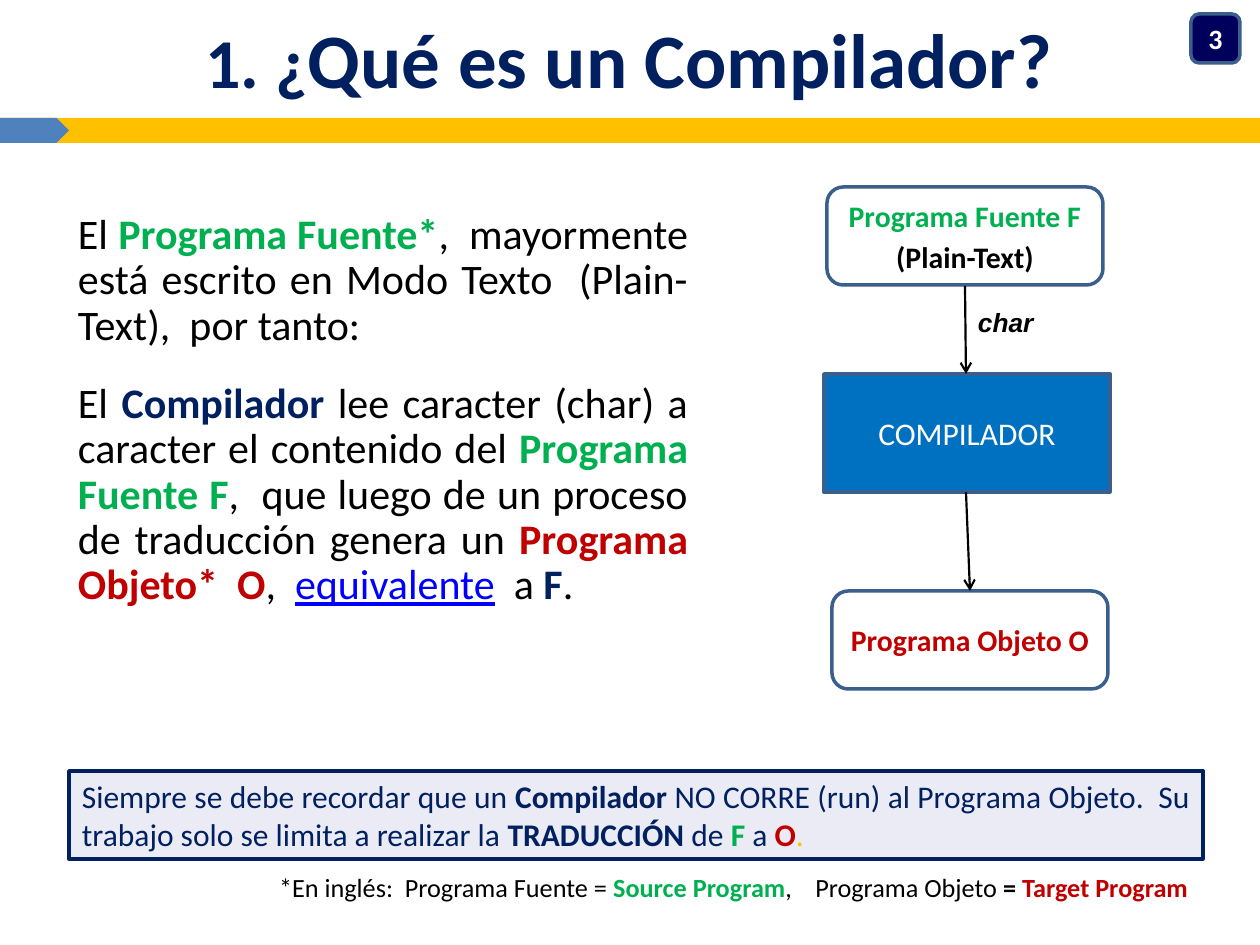
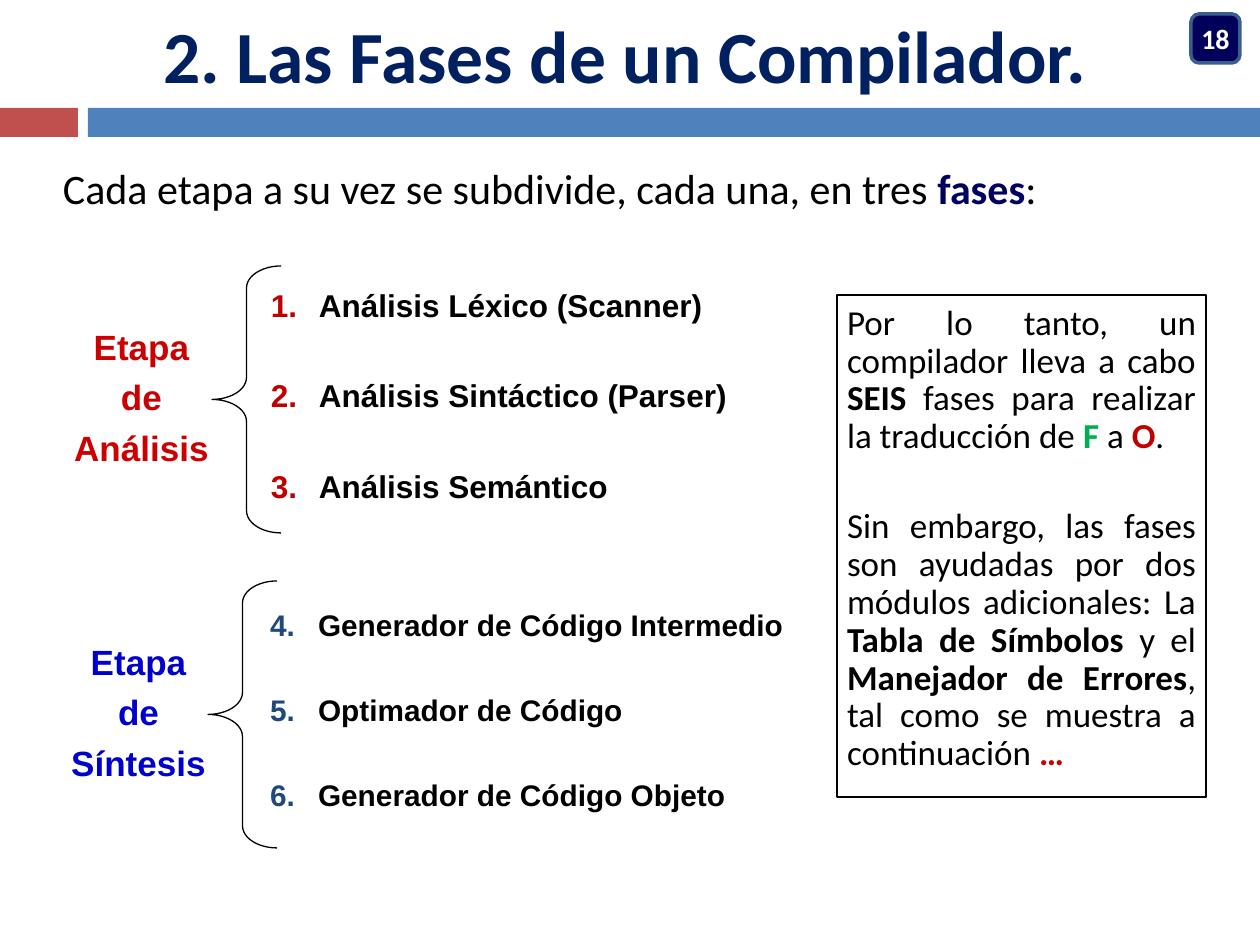
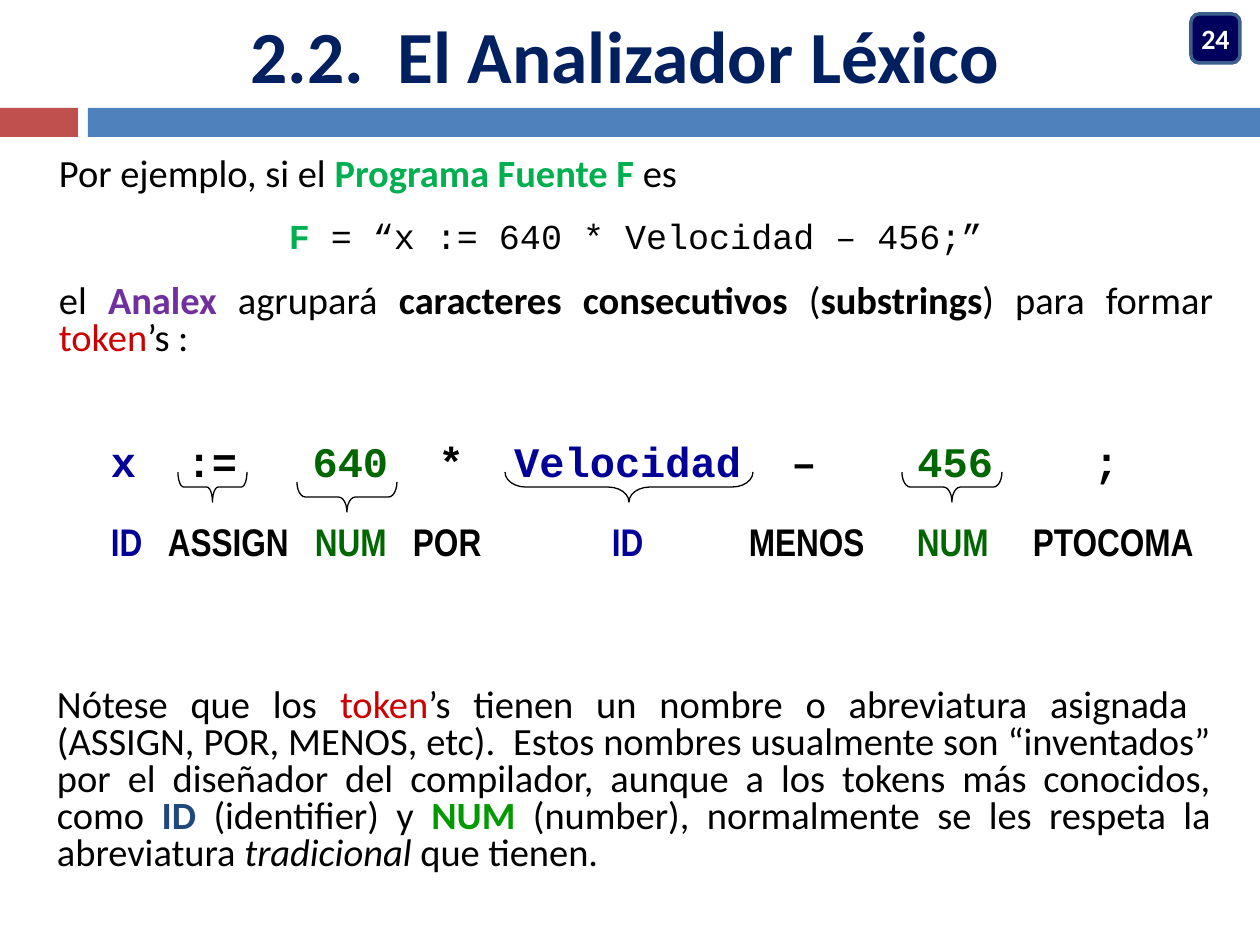
from dataclasses import dataclass

import pptx
import pptx.dml.color
import pptx.enum.shapes
import pptx.enum.text
import pptx.oxml
import pptx.oxml.ns
import pptx.util

SHAPE = pptx.enum.shapes.MSO_SHAPE
ALIGN = pptx.enum.text.PP_ALIGN
ANCHOR = pptx.enum.text.MSO_ANCHOR
EMU_PER_PX = 914400 / 126
INSETS = (13, 6, 13, 6)
NO_INSETS = (0, 0, 0, 0)


@dataclass(frozen=True)
class Theme:
    font: str = "Calibri"
    label_font: str = "Arial"
    narrow_font: str = "Arial Narrow"
    code_font: str = "Courier New"
    black: str = "000000"
    white: str = "FFFFFF"
    navy: str = "002060"
    badge: str = "00005C"
    phase_navy: str = "000060"
    border: str = "3A5F8C"
    blue: str = "4F81BD"
    dark_blue: str = "1F497D"
    compiler_blue: str = "0070C0"
    link: str = "0000FF"
    synthesis: str = "0000CC"
    identifier: str = "000099"
    amber: str = "FFC000"
    brick: str = "C0504D"
    source: str = "00B050"
    target: str = "C00000"
    red: str = "CC0000"
    number: str = "006600"
    bright_number: str = "009900"
    violet: str = "7030A0"
    note_fill: str = "EBEBF5"
    title: int = 42
    big_title: int = 44
    lead: int = 24
    body: int = 22
    aside: int = 20
    medium: int = 18
    small: int = 17
    page: int = 16
    footnote: int = 15


THEME = Theme()


def px(length):
    return pptx.util.Emu(round(length * EMU_PER_PX))


def rgb(value):
    return pptx.dml.color.RGBColor.from_string(value)


def xml(tag, **attributes):
    element = pptx.oxml.parse_xml(
        f'<a:{tag} {pptx.oxml.ns.nsdecls("a")}/>')
    for key, value in attributes.items():
        element.set(key, str(value))
    return element


def add_runs(paragraph, runs, size, font=THEME.font, color=THEME.black, style=""):
    """Each run is plain text or (text, colour, style letters b, i, u)."""
    for part in runs:
        text, run_color, run_style = (
            (part, color, style) if isinstance(part, str) else part)
        run = paragraph.add_run()
        run.text = text
        run.font.name = font
        run.font.size = pptx.util.Pt(size)
        run.font.color.rgb = rgb(run_color)
        run.font.bold = "b" in run_style
        run.font.italic = "i" in run_style
        run.font.underline = "u" in run_style


def set_frame(frame, insets=INSETS, anchor=ANCHOR.TOP, wrap=True):
    frame.word_wrap = wrap
    frame.auto_size = pptx.enum.text.MSO_AUTO_SIZE.NONE
    frame.vertical_anchor = anchor
    (frame.margin_left, frame.margin_top,
     frame.margin_right, frame.margin_bottom) = map(px, insets)


def fill_paragraphs(frame, paragraphs, size, align=ALIGN.LEFT, gap=0,
                    spacing=1.0, **look):
    """Write one paragraph per list of runs, gap points apart."""
    written = []
    for index, runs in enumerate(paragraphs):
        paragraph = frame.add_paragraph() if index else frame.paragraphs[0]
        paragraph.alignment = align
        paragraph.line_spacing = spacing
        paragraph.space_before = pptx.util.Pt(gap if index else 0)
        add_runs(paragraph, runs, size, **look)
        written.append(paragraph)
    return written


def add_text(slide, box, paragraphs, size, insets=INSETS, wrap=True, **look):
    frame = slide.shapes.add_textbox(*map(px, box)).text_frame
    set_frame(frame, insets, wrap=wrap)
    return fill_paragraphs(frame, paragraphs, size, **look)


def add_box(slide, kind, box, fill=None, line=None, weight=2):
    shape = slide.shapes.add_shape(kind, *map(px, box))
    shape.shadow.inherit = False
    if fill:
        shape.fill.solid()
        shape.fill.fore_color.rgb = rgb(fill)
    else:
        shape.fill.background()
    if line:
        shape.line.color.rgb = rgb(line)
        shape.line.width = pptx.util.Pt(weight)
    else:
        shape.line.fill.background()
    return shape


def add_node(slide, kind, box, paragraphs, size, fill=None, **look):
    node = add_box(slide, kind, box, fill, THEME.border)
    set_frame(node.text_frame, (0, 6, 0, 6), ANCHOR.MIDDLE)
    fill_paragraphs(node.text_frame, paragraphs, size, ALIGN.CENTER, gap=3, **look)


def add_arrow(slide, start, end):
    arrow = slide.shapes.add_connector(
        pptx.enum.shapes.MSO_CONNECTOR.STRAIGHT, *map(px, start + end))
    arrow.line.color.rgb = rgb(THEME.black)
    arrow.line.width = pptx.util.Pt(1.25)
    properties = arrow.element.spPr
    properties.find(pptx.oxml.ns.qn("a:ln")).append(xml("tailEnd", type="arrow"))
    properties.append(xml("effectLst"))


def add_brace(slide, box, curve):
    brace = add_box(slide, SHAPE.LEFT_BRACE, box, line=THEME.black, weight=0.75)
    brace.adjustments[0] = curve
    return brace


def add_brace_under(slide, left, top, width, depth=30):
    """Brace that opens upwards; its curve grows with its width."""
    box = (left + (width - depth) / 2, top + (depth - width) / 2, depth, width)
    add_brace(slide, box, round(width * 0.0028, 2)).rotation = 270


def add_numbered(slide, box, items, size, gap, color, start):
    paragraphs = add_text(slide, box, [[item] for item in items], size,
                          gap=gap, font=THEME.label_font, style="b")
    for paragraph in paragraphs:
        properties = paragraph._p.get_or_add_pPr()
        properties.set("marL", str(px(48)))
        properties.set("indent", str(-px(48)))
        bullet_color = xml("buClr")
        bullet_color.append(xml("srgbClr", val=color))
        properties.append(bullet_color)
        properties.append(xml("buAutoNum", type="arabicPeriod", startAt=start))


def add_columns(slide, box, cells, stops, size, font):
    """One line of (text, colour) cells, each after the first at a tab stop."""
    runs = [(("\t" if i else "") + text, color, "b")
            for i, (text, color) in enumerate(cells)]
    frame = slide.shapes.add_textbox(*map(px, box)).text_frame
    set_frame(frame)
    tabs = xml("tabLst")
    for stop in stops:
        tabs.append(xml("tab", pos=px(stop), algn="l"))
    frame.paragraphs[0]._p.get_or_add_pPr().append(tabs)
    fill_paragraphs(frame, [runs], size, font=font)


def start_slide(deck, title, page, title_box=(0, 0, 1250, 108), size=THEME.title):
    """New slide with its title and page badge; title is a list of (text, size)."""
    slide = deck.slides.add_slide(deck.slide_layouts[5])
    heading = slide.shapes.title
    heading.left, heading.top, heading.width, heading.height = map(px, title_box)
    set_frame(heading.text_frame, NO_INSETS, ANCHOR.MIDDLE)
    paragraph = heading.text_frame.paragraphs[0]
    paragraph.alignment = ALIGN.CENTER
    for text, text_size in title:
        add_runs(paragraph, [text], text_size, color=THEME.navy, style="b")
    add_node(slide, SHAPE.ROUNDED_RECTANGLE, (1191, 14, 49, 49), [[str(page)]],
             THEME.page, THEME.badge, color=THEME.white, style="b")
    return slide


def add_split_band(slide):
    add_box(slide, SHAPE.RECTANGLE, (0, 108, 78, 29), THEME.brick)
    add_box(slide, SHAPE.RECTANGLE, (88, 108, 1172, 29), THEME.blue)


def build_definition(deck):
    t = THEME
    slide = start_slide(deck, [("1. ¿", 40), ("Qué es un Compilador?", t.big_title)],
                        3, (29, 11, 1201, 94))
    add_box(slide, SHAPE.RECTANGLE, (0, 118, 1260, 25), t.amber)
    add_box(slide, SHAPE.PENTAGON, (0, 118, 69, 25), t.blue)
    add_text(slide, (78, 207, 610, 462), [
        ["El ", ("Programa Fuente*", t.source, "b"),
         ",  mayormente está escrito en Modo Texto  (Plain-Text),  por tanto:"],
        ["El ", ("Compilador", t.navy, "b"),
         " lee caracter (char) a caracter el contenido del ",
         ("Programa Fuente F", t.source, "b"),
         ",  que luego de un proceso de traducción genera un ",
         ("Programa Objeto*  O", t.target, "b"), ",  ",
         ("equivalente", t.link, "u"), "  a ", ("F", t.navy, "b"), "."],
    ], t.lead, (0, 6, 0, 6), align=ALIGN.JUSTIFY, gap=19, spacing=0.9)

    add_node(slide, SHAPE.ROUNDED_RECTANGLE, (827, 187, 276, 98),
             [[("Programa Fuente F", t.source, "b")], ["(Plain-Text)"]],
             t.small, style="b")
    add_node(slide, SHAPE.RECTANGLE, (824, 374, 286, 118), [["COMPILADOR"]],
             t.medium, t.compiler_blue, color=t.white)
    add_node(slide, SHAPE.ROUNDED_RECTANGLE, (832, 591, 276, 98),
             [["Programa Objeto O"]], t.small, color=t.target, style="b")
    add_arrow(slide, (965, 286), (966, 374))
    add_arrow(slide, (966, 492), (970, 591))
    add_text(slide, (965, 300, 82, 44), [["char"]], t.footnote, wrap=False,
             font=t.label_font, style="bi")

    reminder = add_box(slide, SHAPE.RECTANGLE, (69, 771, 1134, 88),
                       t.note_fill, t.navy)
    set_frame(reminder.text_frame)
    fill_paragraphs(reminder.text_frame, [[
        "Siempre se debe recordar que un ", ("Compilador", t.navy, "b"),
        " NO CORRE (run) al Programa Objeto.  Su trabajo solo se limita a realizar la ",
        ("TRADUCCIÓN", t.navy, "b"), " de ", ("F", t.source, "b"), " a ",
        ("O", t.target, "b"), (".", t.amber, "")]],
        t.medium, ALIGN.JUSTIFY, color=t.navy)
    translations = [
        ((69, 869, 736, 42), ["*En inglés:  Programa Fuente = ",
                              ("Source Program", t.source, "b"), ","]),
        ((800, 869, 401, 42), ["Programa Objeto", (" = ", t.black, "b"),
                               ("Target Program", t.target, "b")]),
    ]
    for box, runs in translations:
        add_text(slide, box, [runs], t.footnote, align=ALIGN.RIGHT, spacing=0.9)


def build_phases(deck):
    t = THEME
    slide = start_slide(deck, [("2. Las Fases de un Compilador.", t.title)], 18)
    add_split_band(slide)
    add_text(slide, (63, 168, 1134, 79), [[
        "Cada etapa a su vez se subdivide, cada una, en tres ",
        ("fases", t.phase_navy, "b"), ":"]], t.lead, NO_INSETS, spacing=0.9)

    stages = [
        ("Análisis", t.red, (52, 319), (212, 266),
         (258, 280, 517, 233), t.medium, 30, t.target, 1,
         ["Análisis Léxico (Scanner)", "Análisis Sintáctico (Parser)",
          "Análisis Semántico"]),
        ("Síntesis", t.synthesis, (49, 634), (208, 581),
         (257, 601, 586, 222), t.small, 28, t.dark_blue, 4,
         ["Generador de Código Intermedio", "Optimador de Código",
          "Generador de Código Objeto"]),
    ]
    for (stage, color, label_at, brace_at, list_box, size, gap,
         number_color, first, phases) in stages:
        add_brace(slide, brace_at + (69, 267), 0.32)
        add_text(slide, label_at + (179, 155), [["Etapa"], ["de"], [stage]],
                 t.aside, align=ALIGN.CENTER, gap=5, font=t.label_font,
                 color=color, style="b")
        add_numbered(slide, list_box, phases, size, gap, number_color, first)

    conclusion = add_box(slide, SHAPE.RECTANGLE, (837, 295, 369, 502),
                         line=t.black, weight=0.75)
    set_frame(conclusion.text_frame, (10, 10, 10, 10))
    fill_paragraphs(conclusion.text_frame, [
        ["Por lo tanto, un compilador lleva a cabo ", ("SEIS", t.black, "b"),
         " fases para realizar la traducción de ", ("F", t.source, "b"), " a ",
         ("O", t.target, "b"), "."],
        ["Sin embargo, las fases son ayudadas por dos módulos adicionales: La",
         (" Tabla de Símbolos", t.black, "b"), " y el ",
         ("Manejador de Errores", t.black, "b"),
         ", tal como se muestra a continuación ", ("…", t.red, "b")],
    ], t.aside, ALIGN.JUSTIFY, gap=30, spacing=0.9)


def build_lexer(deck):
    t = THEME
    slide = start_slide(deck, [("2.2.  El Analizador Léxico", t.title)], 24)
    add_split_band(slide)
    example = add_text(slide, (59, 158, 1154, 217), [
        ["Por ejemplo, si el ", ("Programa Fuente F", t.source, "b"), " es"],
        [],
        ["el ", ("Analex", t.violet, "b"), " agrupará ",
         ("caracteres consecutivos", t.black, "b"), " (",
         ("substrings", t.black, "b"), ") para formar ",
         ("token", t.red, ""), "’s :"],
    ], t.body, NO_INSETS, align=ALIGN.JUSTIFY, gap=16, spacing=0.8)
    example[1].alignment = ALIGN.CENTER
    add_runs(example[1], [("F", t.source, "b"), " = “x := 640 * Velocidad – 456;”"],
             t.aside, t.code_font)

    tokens = [("x", "ID", t.identifier), (":=", "ASSIGN", t.black),
              ("640", "NUM", t.number), ("*", "POR", t.black),
              ("Velocidad", "ID", t.identifier), ("–", "MENOS", t.black),
              ("456", "NUM", t.number), (";", "PTOCOMA", t.black)]
    character_width = 25.2
    lexeme_stops = [column * character_width for column in (3, 8, 13, 16, 27, 32, 39)]
    name_stops = (57, 204, 302, 501, 638, 806, 922)
    add_columns(slide, (98, 430, 1120, 63),
                [(lexeme, color) for lexeme, _, color in tokens],
                lexeme_stops, t.lead, t.code_font)
    add_columns(slide, (98, 512, 1121, 59),
                [(name, color) for _, name, color in tokens],
                name_stops, t.body, t.narrow_font)
    for left, top, width in ((178, 472, 69), (297, 482, 100),
                             (505, 472, 248), (902, 472, 100)):
        add_brace_under(slide, left, top, width)

    add_text(slide, (57, 689, 1154, 197), [[
        "Nótese que los ", ("token", t.red, ""),
        "’s tienen un nombre o abreviatura asignada  (ASSIGN, POR, MENOS, etc).  "
        "Estos nombres usualmente son “inventados” por el diseñador del compilador, "
        "aunque a los tokens más conocidos, como ", ("ID", t.dark_blue, "b"),
        " (identifier) y ", ("NUM", t.bright_number, "b"),
        " (number), normalmente se les respeta la abreviatura ",
        ("tradicional", t.black, "i"), " que tienen."]],
        t.body, NO_INSETS, align=ALIGN.JUSTIFY, spacing=0.8)


def main():
    deck = pptx.Presentation()
    deck.slide_width, deck.slide_height = px(1260), px(945)
    build_definition(deck)
    build_phases(deck)
    build_lexer(deck)
    deck.save("out.pptx")


if __name__ == "__main__":
    main()
